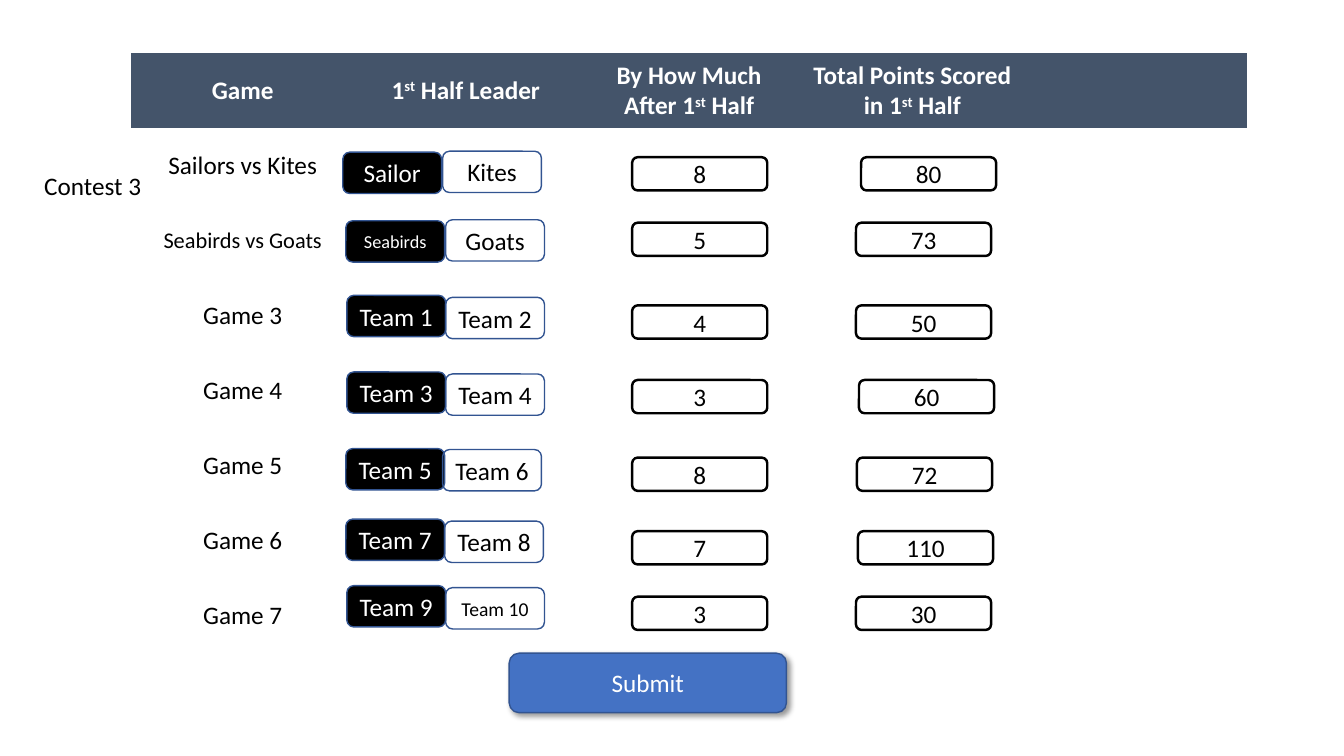
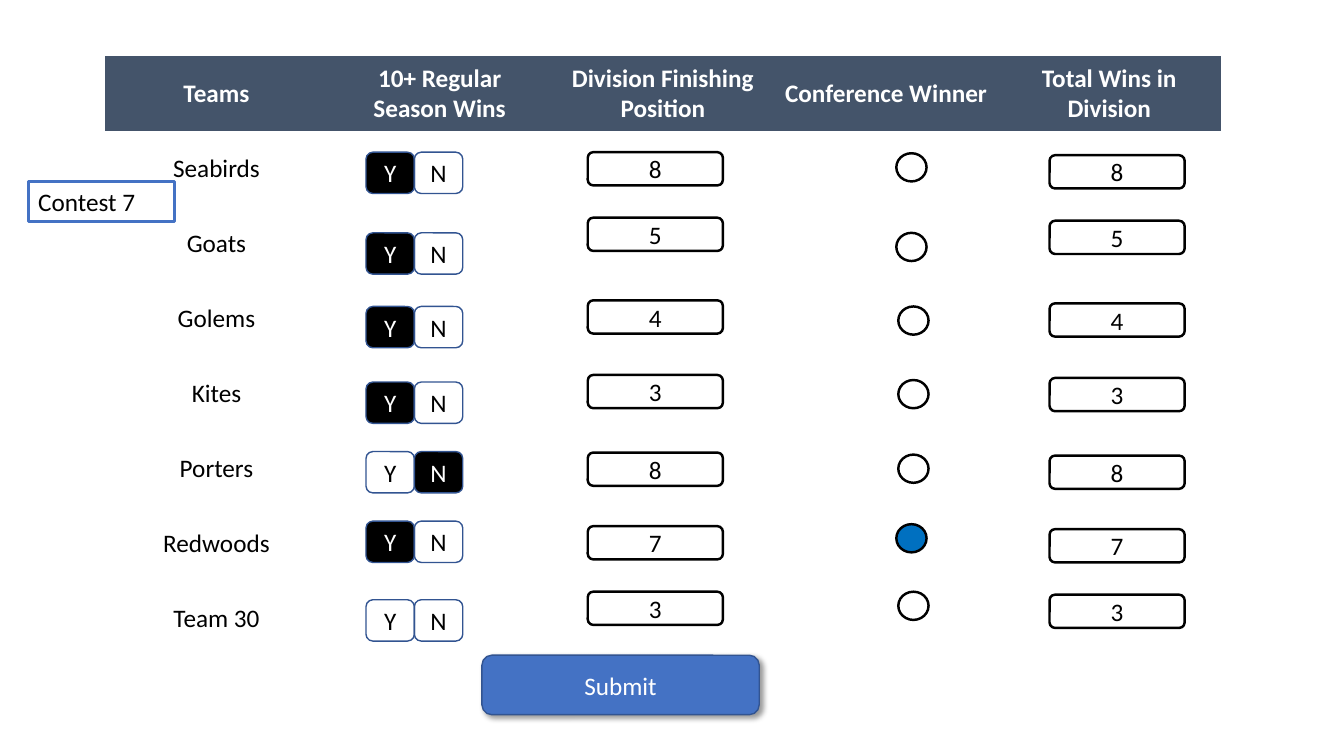
from pptx import Presentation
from pptx.dml.color import RGBColor
from pptx.enum.shapes import MSO_SHAPE as Preset
from pptx.enum.text import MSO_ANCHOR as Anchor, MSO_AUTO_SIZE as AutoSize, PP_ALIGN as Align
from pptx.oxml import parse_xml
from pptx.oxml.ns import nsdecls, qn
from pptx.util import Inches, Pt

COLORS = {
    "header": "44546A",
    "button": "4472C4",
    "outline": "325491",
    "black": "000000",
    "white": "FFFFFF",
    "selected": "0070C0",
}
FONT = "Calibri"
NO_STYLE_NO_GRID = "{2D5ABB26-0587-4C30-8999-92F81FD0307C}"
TABLE_WIDTH, TABLE_HEIGHT = 11.07, 5.95
SCORE_TOPS = [1.51, 2.16, 2.98, 3.72, 4.49, 5.22, 5.87]

HALF_HEADERS = ["Game", "1^st^ Half Leader", "By How Much After 1^st^ Half",
                "Total Points Scored in 1^st^ Half", ""]
GAMES = ["Sailors vs Kites", "Seabirds vs Goats"] + [f"Game {n}" for n in range(3, 8)]
GAME_SIZES = {"Seabirds vs Goats": 16}
LEADERS = [
    ("Sailor", 3.4, 1.51, "Kites", 4.39, 1.5),
    ("Seabirds", 3.43, 2.19, "Goats", 4.42, 2.18),
    ("Team 1", 3.44, 2.93, "Team 2", 4.42, 2.95),
    ("Team 3", 3.44, 3.69, "Team 4", 4.42, 3.71),
    ("Team 5", 3.43, 4.45, "Team 6", 4.39, 4.46),
    ("Team 7", 3.43, 5.15, "Team 8", 4.41, 5.17),
    ("Team 9", 3.44, 5.81, "Team 10", 4.42, 5.83),
]
CHOICE_SIZES = {"Seabirds": 13, "Team 10": 14}
MARGINS = [8, 5, 4, 3, 8, 7, 3]
TOTALS = [80, 73, 50, 60, 72, 110, 30]
TOTAL_LEFTS = [8.54, 8.49, 8.49, 8.52, 8.5, 8.51, 8.49]

SEASON_HEADERS = ["Teams", "10+ Regular Season Wins", "Division Finishing Position",
                  "Conference Winner", "Total Wins in Division"]
TEAMS = ["Seabirds", "Goats", "Golems", "Kites", "Porters", "Redwoods", "Team 30"]
ANSWERS = [("Y", 1.51), ("Y", 2.31), ("Y", 3.04), ("Y", 3.79),
           ("N", 4.48), ("Y", 5.17), ("", 5.95)]
WINNERS = [(8.89, 1.52), (8.89, 2.31), (8.91, 3.04), (8.91, 3.77),
           (8.91, 4.51), (8.89, 5.2), (8.91, 5.87)]
WINNER_ROW = 5


def color(name):
    """Return the named palette colour."""
    return RGBColor.from_string(COLORS[name])


def write_text(frame, text, *, size=18, ink="black", bold=False, align=Align.CENTER):
    """Write one paragraph, raising the parts between carets."""
    frame.word_wrap = True
    paragraph = frame.paragraphs[0]
    paragraph.alignment = align
    for index, part in enumerate(text.split("^")):
        run = paragraph.add_run()
        run.text = part
        run.font.name, run.font.size, run.font.bold = FONT, Pt(size), bold
        run.font.color.rgb = color(ink)
        if index % 2:
            run.font._element.set("baseline", "30000")


def set_fill(fill, name):
    """Fill with a palette colour, or with nothing."""
    if name:
        fill.solid()
        fill.fore_color.rgb = color(name)
    else:
        fill.background()


def add_box(slide, left, top, width, height, text="", *, preset=Preset.ROUNDED_RECTANGLE,
            fill=None, line="outline", weight=1, **text_format):
    """Add an outlined shape with centred text."""
    shape = slide.shapes.add_shape(preset, Inches(left), Inches(top), Inches(width), Inches(height))
    shape.shadow.inherit = False
    set_fill(shape.fill, fill)
    shape.line.color.rgb = color(line)
    shape.line.width = Pt(weight)
    if text:
        shape.text_frame.vertical_anchor = Anchor.MIDDLE
        write_text(shape.text_frame, text, **text_format)
    return shape


def add_choice(slide, left, top, width, text, chosen):
    """Add one half of a two-way choice, black when chosen."""
    add_box(slide, left, top, width, 0.41, text, size=CHOICE_SIZES.get(text, 18),
            fill="black" if chosen else None, ink="white" if chosen else "black")


def add_scores(slide, lefts, shift, values):
    """Add a column of number boxes."""
    for left, top, value in zip(lefts, SCORE_TOPS, values):
        add_box(slide, left, top + shift, 1.34, 0.33, str(value), line="black", weight=1.75)


def add_submit(slide, left, top):
    """Add the submit button with its soft shadow."""
    button = add_box(slide, left, top, 2.75, 0.59, "Submit", fill="button", ink="white")
    effects = button._element.spPr.find(qn("a:effectLst"))
    effects.append(parse_xml(
        f'<a:outerShdw {nsdecls("a")} blurRad="50800" dist="38100" dir="2700000" algn="tl" '
        f'rotWithShape="0"><a:srgbClr val="{COLORS["black"]}"><a:alpha val="40000"/>'
        '</a:srgbClr></a:outerShdw>'))


def add_grid(slide, left, top, headers, names):
    """Add the table with a dark header row and names in its first column."""
    row_count = len(names) + 1
    table = slide.shapes.add_table(
        row_count, len(headers), Inches(left), Inches(top),
        Inches(TABLE_WIDTH), Inches(TABLE_HEIGHT)).table
    table.first_row = table.horz_banding = False
    table._tbl.tblPr.find(qn("a:tableStyleId")).text = NO_STYLE_NO_GRID
    for cell in table.iter_cells():
        set_fill(cell.fill, None)
        cell.vertical_anchor = Anchor.MIDDLE
    for index, header in enumerate(headers):
        cell = table.cell(0, index)
        set_fill(cell.fill, "header")
        if header:
            write_text(cell.text_frame, header, ink="white", bold=True)
    for index, name in enumerate(names, 1):
        write_text(table.cell(index, 0).text_frame, name, size=GAME_SIZES.get(name, 18))


def add_label(slide, left, top, width, text, outlined=False):
    """Add the contest label, with a blue frame if asked."""
    label = slide.shapes.add_textbox(Inches(left), Inches(top), Inches(width), Inches(0.4))
    write_text(label.text_frame, text, align=Align.LEFT)
    label.text_frame.auto_size = AutoSize.SHAPE_TO_FIT_TEXT
    if outlined:
        label.line.color.rgb = color("button")
        label.line.width = Pt(2.25)


def build_half_contest(slide):
    """Build the first-half contest form."""
    add_grid(slide, 1.3, 0.53, HALF_HEADERS, GAMES)
    for leader, left, top, rival, rival_left, rival_top in LEADERS:
        add_choice(slide, left, top, 0.98, leader, True)
        add_choice(slide, rival_left, rival_top, 0.98, rival, False)
    add_scores(slide, [6.27] * len(MARGINS), 0.05, MARGINS)
    add_scores(slide, TOTAL_LEFTS, 0.05, TOTALS)
    add_submit(slide, 5.05, 6.48)
    add_label(slide, 0.34, 1.64, 1.33, "Contest 3")


def build_season_contest(slide):
    """Build the season contest form."""
    add_grid(slide, 1.04, 0.56, SEASON_HEADERS, TEAMS)
    for answer, top in ANSWERS:
        for index, option in enumerate("YN"):
            add_choice(slide, 3.63 + 0.48 * index, top, 0.48, option, option == answer)
    for row, (left, top) in enumerate(WINNERS):
        add_box(slide, left, top, 0.3, 0.28, preset=Preset.OVAL, line="black", weight=1.75,
                fill="selected" if row == WINNER_ROW else None)
    add_scores(slide, [5.83] * len(MARGINS), 0, MARGINS)
    add_scores(slide, [10.41] * len(MARGINS), 0.03, MARGINS)
    add_submit(slide, 4.78, 6.5)
    add_label(slide, 0.28, 1.8, 1.45, "Contest 7", outlined=True)


def main():
    """Build and save the presentation."""
    presentation = Presentation()
    presentation.slide_width, presentation.slide_height = Inches(13.33), Inches(7.5)
    blank_layout = presentation.slide_layouts[6]
    for build in (build_half_contest, build_season_contest):
        build(presentation.slides.add_slide(blank_layout))
    presentation.save("out.pptx")


if __name__ == "__main__":
    main()
